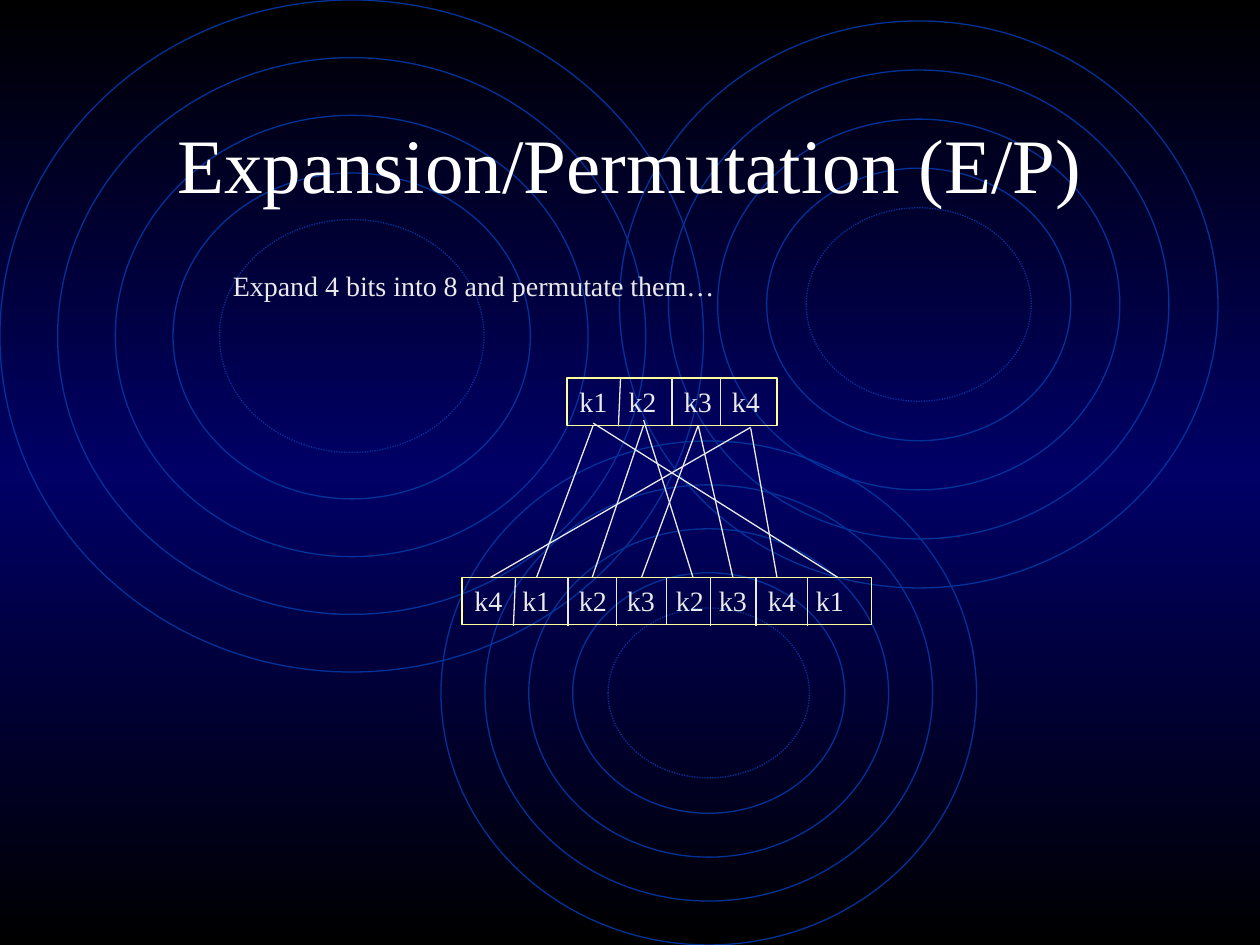
from copy import deepcopy
from pptx import Presentation
from pptx.dml.color import RGBColor
from pptx.enum.dml import MSO_LINE
from pptx.enum.shapes import MSO_CONNECTOR, MSO_SHAPE
from pptx.enum.text import MSO_ANCHOR, MSO_AUTO_SIZE, PP_ALIGN
from pptx.oxml.ns import qn
from pptx.util import Inches, Pt

OVAL, RECT = MSO_SHAPE.OVAL, MSO_SHAPE.RECTANGLE
LINE, DOTS = MSO_CONNECTOR.STRAIGHT, MSO_LINE.ROUND_DOT
TOP, MID = MSO_ANCHOR.TOP, MSO_ANCHOR.MIDDLE
LEFT, CENTER = PP_ALIGN.LEFT, PP_ALIGN.CENTER
GROW, FIXED = MSO_AUTO_SIZE.SHAPE_TO_FIT_TEXT, MSO_AUTO_SIZE.NONE

THEME = {
    "font": "Times New Roman", "head": 44, "body": 16, "line": Pt(0.75),
    "title": RGBColor(0xFF, 0xFF, 0xFF), "text": RGBColor(0xEA, 0xEA, 0xEA),
    "box": RGBColor(0xFF, 0xFF, 0x99), "ring": RGBColor(0x00, 0x33, 0x99),
    "edge": RGBColor(0, 0, 0), "glow": RGBColor(0, 0, 0x66),
}

deck = Presentation()
deck.slide_width, deck.slide_height = Inches(10), Inches(7.5)
col, row = deck.slide_width / 120, deck.slide_height / 90
slide = deck.slides.add_slide(deck.slide_layouts[5])
shapes = slide.shapes


def write(shape, words, size, color, align=LEFT, anchor=TOP, fit=GROW):
    frame = shape.text_frame
    frame.word_wrap = True
    frame.auto_size = fit
    frame.vertical_anchor = anchor
    para = frame.paragraphs[0]
    para.alignment = align
    run = para.add_run()
    run.text = words
    run.font.name = THEME["font"]
    run.font.size = Pt(size)
    run.font.color.rgb = color
    return para


def join(x1, y1, x2, y2):
    link = shapes.add_connector(LINE, round(x1 * col), round(y1 * row),
                                round(x2 * col), round(y2 * row))
    link.line.color.rgb = THEME["text"]
    link.line.width = THEME["line"]
    props = link._element.spPr
    props.append(props.makeelement(qn("a:effectLst"), {}))
    return link


fill = slide.background.fill
fill.gradient()
fill.gradient_angle = 270
stops = slide.element.find(".//" + qn("a:gsLst"))
stops.append(deepcopy(stops[0]))
for stop, (place, tone) in zip(fill.gradient_stops,
                               [(0, "edge"), (0.5, "glow"), (1, "edge")]):
    stop.position = place
    stop.color.rgb = THEME[tone]

INSETS = [0, 0.082, 0.164, 0.246, 0.312]
for x, y, w, h in [(0, 0, 67, 64), (42, 42, 51, 48), (59, 2, 57, 54)]:
    for inset in INSETS:
        gap = w * inset
        ring = shapes.add_shape(OVAL, round((x + gap) * col), round((y + gap) * row),
                                round((w - 2 * gap) * col), round((h - 2 * gap) * row))
        ring.shadow.inherit = False
        ring.fill.background()
        ring.line.color.rgb = THEME["ring"]
        ring.line.width = THEME["line"]
        if inset == INSETS[-1]:
            ring.line.dash_style = DOTS

title = shapes.title
title.left, title.top = round(9 * col), round(8 * row)
title.width, title.height = round(102 * col), round(15 * row)
write(title, "Expansion/Permutation (E/P)", THEME["head"], THEME["title"],
      CENTER, MID, FIXED)
shapes.element.append(title.element)

TALL, LEAN = 4.5, 0.1
ROWS = [
    (44, 55, 39, "k4 k1 k2 k3 k2 k3 k4 k1",
     [0.38, 0.83, 1.21, 1.6, 1.94, 2.33, 2.71],
     [49, 54.1, 58.7, 63.5, 67.7, 72, 76.9]),
    (54, 36, 20, "k1 k2 k3 k4", [0.39, 0.83, 1.21], [59, 64.1, 68.6]),
]
for x, y, w, keys, tabs, cuts in ROWS:
    box = shapes.add_shape(RECT, round(x * col), round(y * row),
                           round(w * col), round(TALL * row))
    box.shadow.inherit = False
    box.fill.background()
    box.line.color.rgb = THEME["box"]
    box.line.width = THEME["line"]
    para = write(box, "\t".join(keys.split()), THEME["body"], THEME["text"])
    props = para._p.get_or_add_pPr()
    stops = props.makeelement(qn("a:tabLst"), {})
    for tab in tabs:
        stops.append(stops.makeelement(
            qn("a:tab"), {"pos": str(Inches(tab)), "algn": "l"}))
    props.append(stops)
    for cut in cuts:
        lean = LEAN if cut == cuts[0] else 0
        rule = join(cut + lean, y, cut - lean, y + TALL + 0.1)
        if abs(cut - x - w / 2) < 0.2:
            rule.begin_connect(box, 0)
            rule.end_connect(box, 2)

LINKS = [
    (56.5, [(40.5, 51.1), (40.3, 79.8)]),
    (61.3, [(40.5, 56.4), (40, 66)]),
    (66.5, [(40.5, 61.1), (40.5, 69.8)]),
    (71.5, [(40.7, 46.7), (40.8, 74)]),
]
for x, ends in LINKS:
    for y, end in ends:
        join(x, y, end, 55)

note = shapes.add_textbox(round(21 * col), round(25 * row),
                          round(78 * col), round(TALL * row))
write(note, "Expand 4 bits into 8 and permutate them…", THEME["body"], THEME["text"])

deck.save("out.pptx")
